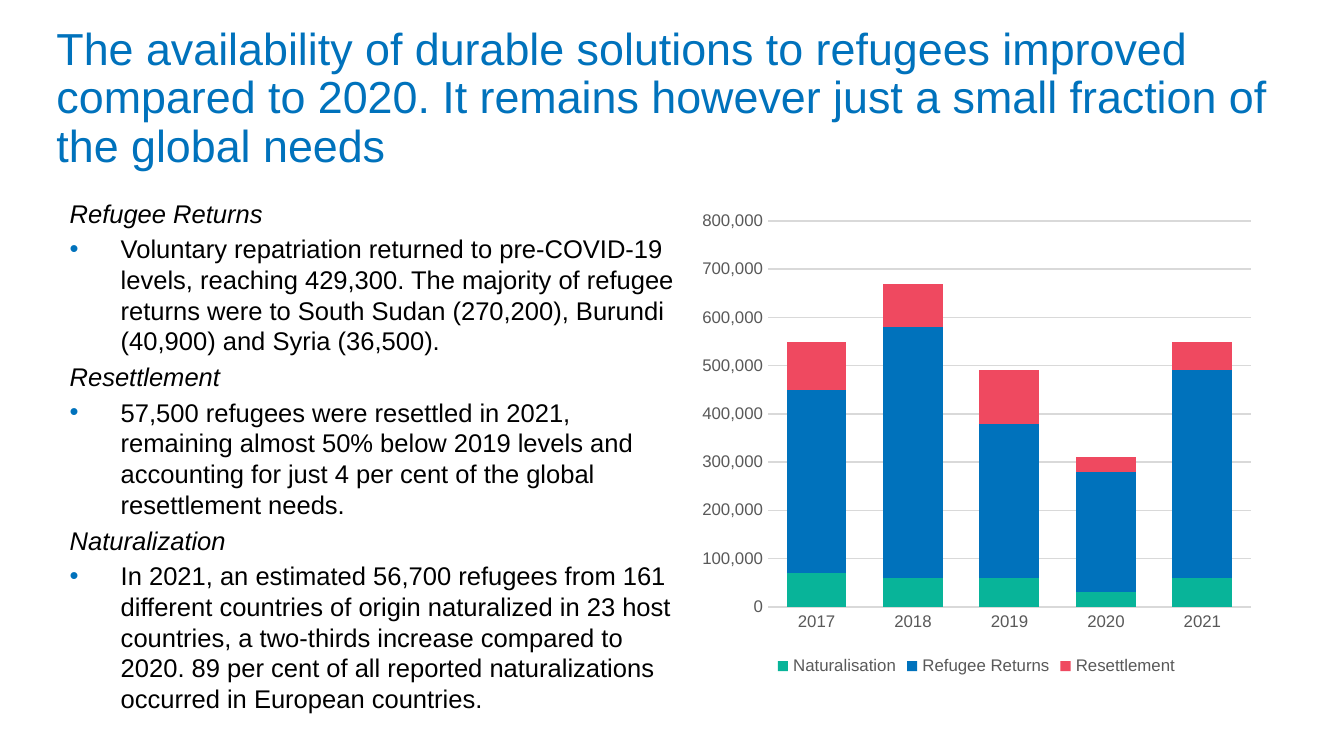
"""Build the slide on durable solutions for refugees: a title, key points and a stacked column chart."""
from lxml.etree import SubElement
from pptx import Presentation
from pptx.chart.data import CategoryChartData
from pptx.dml.color import RGBColor
from pptx.enum.chart import XL_CHART_TYPE, XL_LEGEND_POSITION, XL_TICK_MARK
from pptx.enum.text import MSO_ANCHOR
from pptx.oxml.ns import qn
from pptx.util import Inches, Pt

FONT = "Arial"
BLUE = RGBColor(0x00, 0x72, 0xBC)
GREEN = RGBColor(0x08, 0xB4, 0x99)
RED = RGBColor(0xEF, 0x49, 0x60)
BLACK = RGBColor(0x00, 0x00, 0x00)
GREY = RGBColor(0x59, 0x59, 0x59)
LIGHT_GREY = RGBColor(0xD9, 0xD9, 0xD9)

TITLE = ("The availability of durable solutions to refugees improved compared to 2020. "
         "It remains however just a small fraction of the global needs")
SECTIONS = [
    ("Refugee Returns",
     "Voluntary repatriation returned to pre-COVID-19 levels, reaching 429,300. "
     "The majority of refugee returns were to South Sudan (270,200), Burundi (40,900) "
     "and Syria (36,500)."),
    ("Resettlement",
     "57,500 refugees were resettled in 2021, remaining almost 50% below 2019 levels and "
     "accounting for just 4 per cent of the global resettlement needs."),
    ("Naturalization",
     "In 2021, an estimated 56,700 refugees from 161 different countries of origin "
     "naturalized in 23 host countries, a two-thirds increase compared to 2020. 89 per cent "
     "of all reported naturalizations occurred in European countries."),
]
YEARS = ["2017", "2018", "2019", "2020", "2021"]
SERIES = [
    ("Naturalisation", GREEN, (70000, 60000, 60000, 30000, 60000)),
    ("Refugee Returns", BLUE, (380000, 520000, 320000, 250000, 430000)),
    ("Resettlement", RED, (100000, 90000, 110000, 30000, 60000)),
]


def set_font(font, size, color):
    font.name = FONT
    font.size = Pt(size)
    font.color.rgb = color


def add_text_frame(slide, box, margins):
    tf = slide.shapes.add_textbox(*map(Inches, box)).text_frame
    tf.word_wrap = True
    tf.margin_left, tf.margin_top, tf.margin_right, tf.margin_bottom = map(Inches, margins)
    return tf


def add_bullet(p):
    pPr = p._p.get_or_add_pPr()
    pPr.set("marL", str(Inches(0.38)))
    pPr.set("indent", str(-Inches(0.38)))
    SubElement(SubElement(pPr, qn("a:buClr")), qn("a:srgbClr")).set("val", str(BLUE))
    SubElement(pPr, qn("a:buFont")).set("typeface", FONT)
    SubElement(pPr, qn("a:buChar")).set("char", "•")


def add_title(slide):
    tf = add_text_frame(slide, (0.42, 0.22, 9.38, 1.06), (0, 0, 0, 0))
    tf.vertical_anchor = MSO_ANCHOR.BOTTOM
    p = tf.paragraphs[0]
    p.text = TITLE
    p.line_spacing = 0.9
    set_font(p.runs[0].font, 24, BLUE)


def add_sections(slide):
    tf = add_text_frame(slide, (0.42, 1.42, 4.75, 3.38), (0.1, 0.05, 0.1, 0))
    tf.text = "\n".join(text for section in SECTIONS for text in section)
    for i, p in enumerate(tf.paragraphs):
        is_heading = i % 2 == 0
        p.space_before = Pt(2.7)
        set_font(p.runs[0].font, 13.7, BLACK)
        p.runs[0].font.italic = is_heading
        if not is_heading:
            add_bullet(p)


def add_solutions_chart(slide):
    data = CategoryChartData(number_format="#,##0")
    data.categories = YEARS
    for name, _, values in SERIES:
        data.add_series(name, values)
    box = map(Inches, (5.14, 1.5, 4.25, 3.57))
    chart = slide.shapes.add_chart(XL_CHART_TYPE.COLUMN_STACKED, *box, data).chart
    set_font(chart.font, 10, BLACK)
    chart.has_title = False

    plot = chart.plots[0]
    plot.gap_width, plot.overlap, plot.vary_by_categories = 61, 100, False
    for series, (_, color, _) in zip(plot.series, SERIES):
        series.format.fill.solid()
        series.format.fill.fore_color.rgb = color

    years, people = chart.category_axis, chart.value_axis
    for axis in (years, people):
        axis.major_tick_mark = axis.minor_tick_mark = XL_TICK_MARK.NONE
        set_font(axis.tick_labels.font, 9, GREY)
    people.minimum_scale, people.maximum_scale, people.major_unit = 0, 800000, 100000
    people.tick_labels.number_format = "#,##0"
    people.tick_labels.number_format_is_linked = False
    people.format.line.fill.background()
    for line in (years.format.line, people.major_gridlines.format.line):
        line.color.rgb = LIGHT_GREY
        line.width = Pt(0.75)

    chart.has_legend = True
    chart.legend.position = XL_LEGEND_POSITION.BOTTOM
    chart.legend.include_in_layout = False
    set_font(chart.legend.font, 9, GREY)


def main():
    prs = Presentation()
    prs.slide_width = Inches(10)
    prs.slide_height = prs.slide_width * 9 // 16
    s = prs.slides.add_slide(prs.slide_layouts[6])
    add_title(s)
    add_sections(s)
    add_solutions_chart(s)
    prs.save("out.pptx")


if __name__ == "__main__":
    main()
